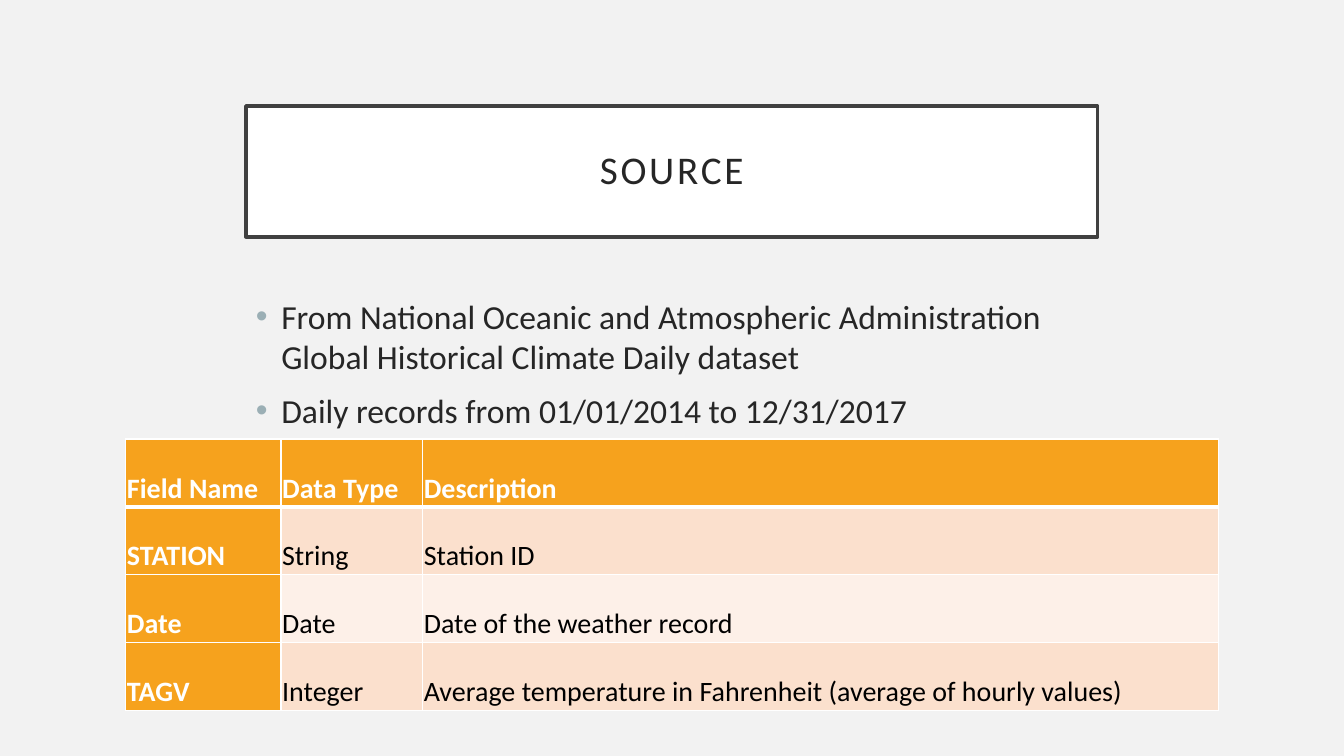
from dataclasses import dataclass

from lxml.etree import SubElement
from pptx import Presentation
from pptx.dml.color import RGBColor
from pptx.enum.shapes import MSO_SHAPE as Preset
from pptx.enum.text import MSO_ANCHOR as Anchor, PP_ALIGN as Align
from pptx.oxml.ns import qn
from pptx.util import Cm, Pt


@dataclass(frozen=True)
class Theme:
    font: str = "Calibri"
    background: str = "F2F2F2"
    white: str = "FFFFFF"
    black: str = "000000"
    text: str = "262626"
    frame: str = "404040"
    bullet: str = "9BAFB5"
    header: str = "F6A21D"
    bands: tuple = ("FBE0CD", "FDF0E8")
    title_size: int = 28
    body_size: int = 24
    table_size: int = 20


THEME = Theme()

BULLETS = [
    "From National Oceanic and Atmospheric Administration "
    "Global Historical Climate Daily dataset",
    "Daily records from 01/01/2014 to 12/31/2017",
]
FIELDS = [
    ("Field Name", "Data Type", "Description"),
    ("STATION", "String", "Station ID"),
    ("Date", "Date", "Date of the weather record"),
    ("TAGV", "Integer",
     "Average temperature in Fahrenheit (average of hourly values)"),
]
COLUMN_WIDTHS = [3.91, 3.57, 20.06]
ROW_HEIGHT = 1.71


def paint(fill, color):
    fill.solid()
    fill.fore_color.rgb = RGBColor.from_string(color)


def set_font(paragraph, size, color, bold=False):
    font = paragraph.font
    font.name = THEME.font
    font.size = Pt(size)
    font.bold = bold
    font.color.rgb = RGBColor.from_string(color)


def set_margins(holder, margin):
    holder.margin_left = holder.margin_right = margin
    holder.margin_top = holder.margin_bottom = margin


def add_title(slide, text):
    box = slide.shapes.add_shape(
        Preset.RECTANGLE, Cm(6.2), Cm(2.67), Cm(21.46), Cm(3.3))
    box.shadow.inherit = False
    paint(box.fill, THEME.white)
    paint(box.line.fill, THEME.frame)
    box.line.width = Pt(2.5)

    frame = box.text_frame
    frame.word_wrap = True
    frame.vertical_anchor = Anchor.MIDDLE
    set_margins(frame, Cm(0.5))
    paragraph = frame.paragraphs[0]
    paragraph.alignment = Align.CENTER
    paragraph.line_spacing = 0.9
    run = paragraph.add_run()
    run.text = text
    run.font._element.set("spc", "200")
    set_font(paragraph, THEME.title_size, THEME.text)


def add_bullet(paragraph):
    """Give the paragraph a coloured bullet and a hanging indent."""
    properties = paragraph._p.get_or_add_pPr()
    indent = Cm(0.64)
    properties.set("marL", str(indent))
    properties.set("indent", str(-indent))
    color = SubElement(properties, qn("a:buClr"))
    SubElement(color, qn("a:srgbClr"), val=THEME.bullet)
    SubElement(properties, qn("a:buFont"), typeface="Arial")
    SubElement(properties, qn("a:buChar"), char="•")


def add_bullet_list(slide, items):
    frame = slide.shapes.add_textbox(
        Cm(6.2), Cm(7.32), Cm(21.46), Cm(8.61)).text_frame
    frame.word_wrap = True
    for index, item in enumerate(items):
        paragraph = frame.add_paragraph() if index else frame.paragraphs[0]
        paragraph.text = item
        paragraph.space_before = Pt(10)
        add_bullet(paragraph)
        set_font(paragraph, THEME.body_size, THEME.text)


def set_borders(cell, widths):
    """Draw white cell edges; widths maps L, R, T and B to points."""
    properties = cell._tc.get_or_add_tcPr()
    for side, width in widths.items():
        line = SubElement(properties, qn(f"a:ln{side}"), w=str(Pt(width)))
        fill = SubElement(line, qn("a:solidFill"))
        SubElement(fill, qn("a:srgbClr"), val=THEME.white)


def fill_cell(cell, text, row, column):
    is_heading = row == 0 or column == 0
    set_borders(cell, {"L": 1, "R": 1,
                       "T": 3 if row == 1 else 1,
                       "B": 3 if row == 0 else 1})
    paint(cell.fill, THEME.header if is_heading else THEME.bands[(row - 1) % 2])
    cell.vertical_anchor = Anchor.BOTTOM
    set_margins(cell, Cm(0.03))
    cell.text = text
    set_font(cell.text_frame.paragraphs[0], THEME.table_size,
             THEME.white if is_heading else THEME.black, is_heading)


def add_field_table(slide, rows):
    table = slide.shapes.add_table(
        len(rows), len(COLUMN_WIDTHS), Cm(3.17), Cm(11.06),
        Cm(sum(COLUMN_WIDTHS)), Cm(ROW_HEIGHT * len(rows))).table
    table.first_col = True
    for column, width in zip(table.columns, COLUMN_WIDTHS):
        column.width = Cm(width)
    for row, texts in enumerate(rows):
        table.rows[row].height = Cm(ROW_HEIGHT)
        for column, text in enumerate(texts):
            fill_cell(table.cell(row, column), text, row, column)


def main():
    presentation = Presentation()
    presentation.slide_width = Cm(33.87)
    presentation.slide_height = Cm(19.05)
    slide = presentation.slides.add_slide(presentation.slide_layouts[6])
    paint(slide.background.fill, THEME.background)
    add_title(slide, "SOURCE")
    add_bullet_list(slide, BULLETS)
    add_field_table(slide, FIELDS)
    presentation.save("out.pptx")


if __name__ == "__main__":
    main()
